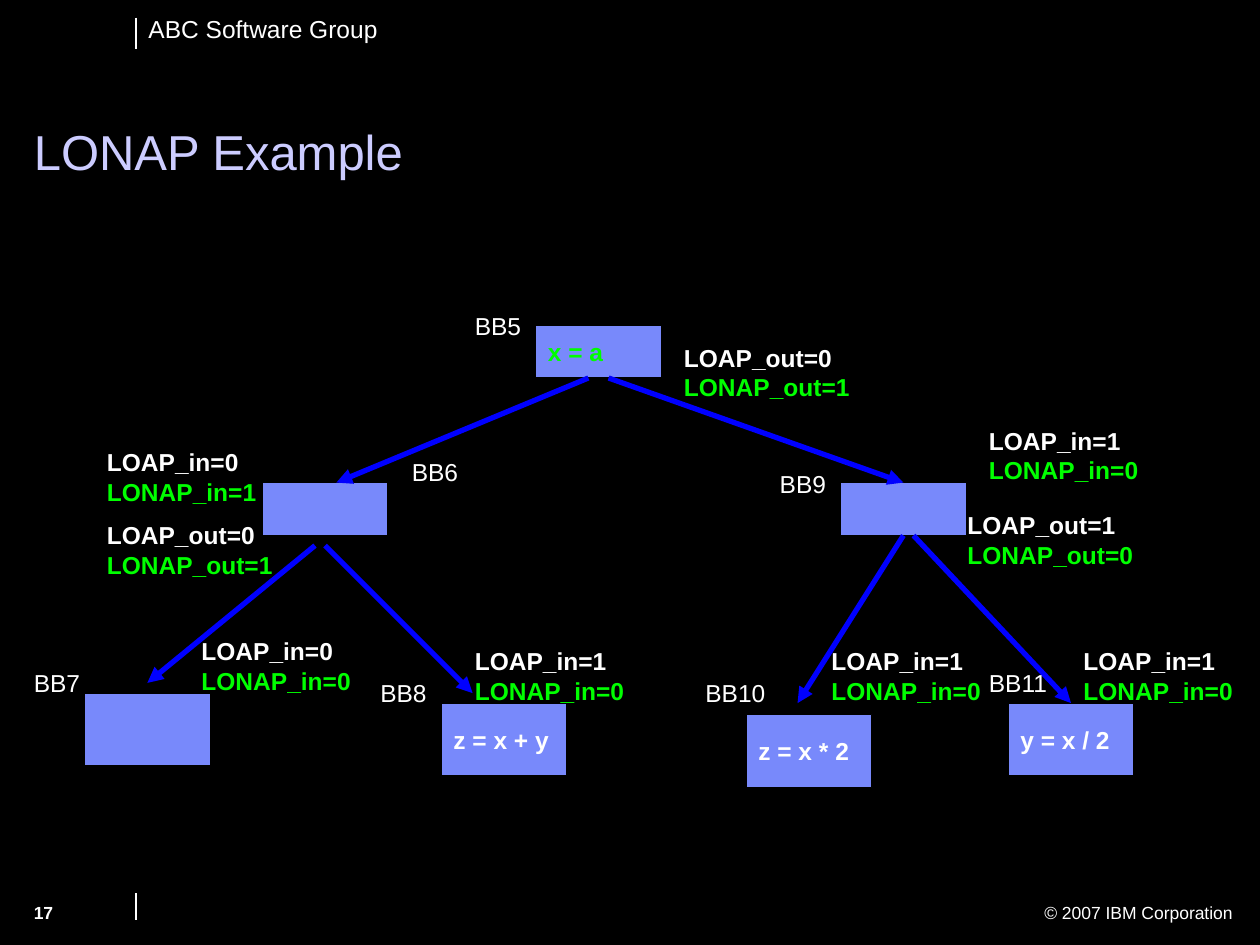
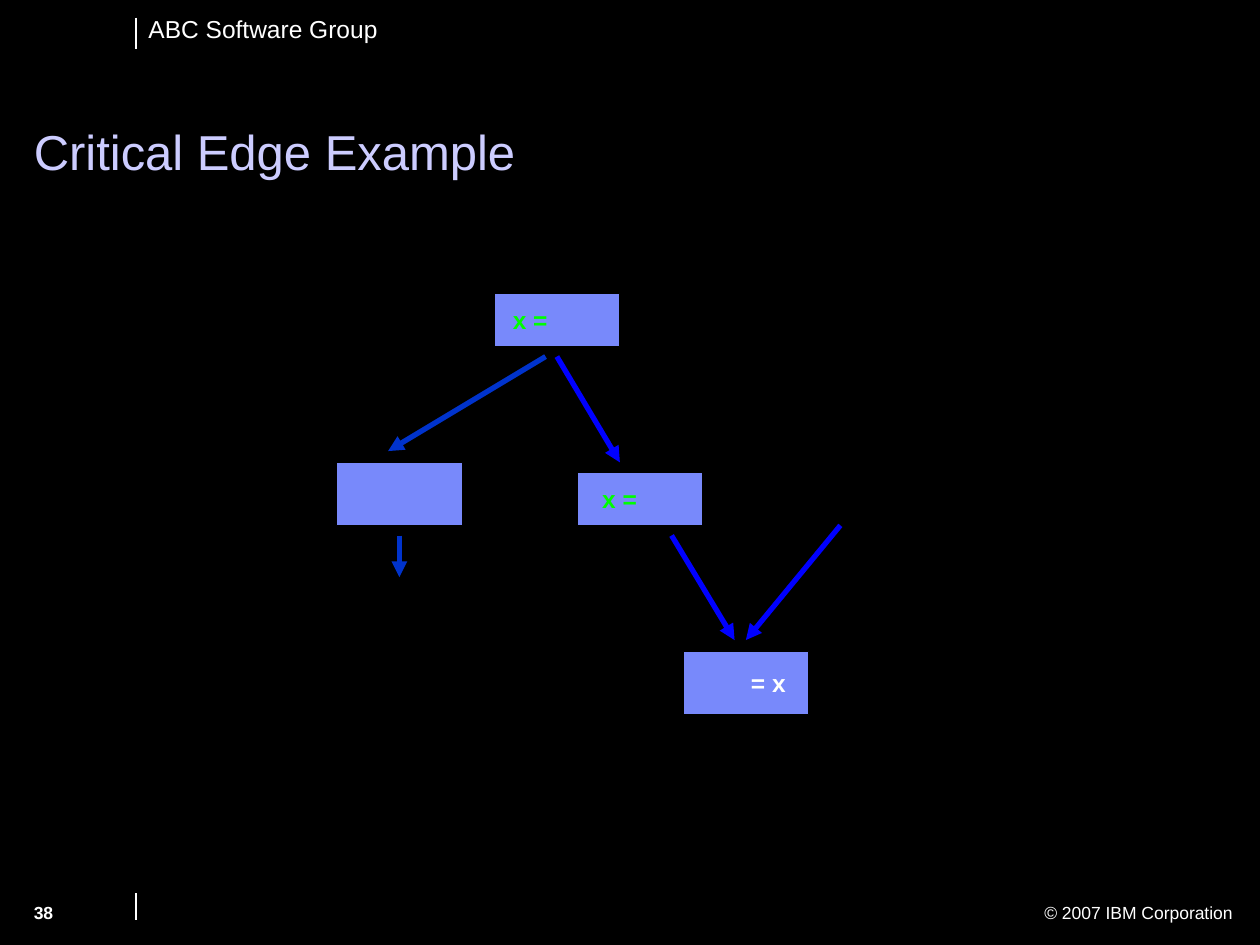
from pptx import Presentation
from pptx.dml.color import RGBColor
from pptx.enum.shapes import MSO_CONNECTOR, MSO_SHAPE
from pptx.enum.text import MSO_ANCHOR, PP_ALIGN
from pptx.oxml.ns import qn
from pptx.util import Inches, Pt
from lxml import etree

COLORS = {
    "background": "000000",
    "text": "FFFFFF",
    "title": "CCCCFF",
    "block": "7889FB",
    "outline": "000000",
    "highlight": "00FF00",
    "edge": "0000FF",
    "other_edge": "0033CC",
}
FONT = "Arial"
BLOCK_WIDTH = 1
TOP, BOTTOM = 0, 2  # connection sites of a rectangle


def color(name):
    return RGBColor.from_string(COLORS[name])


def style(paragraph, size, color_name, bold=False, align=PP_ALIGN.LEFT):
    paragraph.alignment = align
    font = paragraph.font
    font.name, font.size, font.bold = FONT, Pt(size), bold
    font.color.rgb = color(color_name)


def add_text(slide, box, lines, size, bold=False, align=PP_ALIGN.LEFT,
             anchor=MSO_ANCHOR.TOP):
    """Add a text box; lines holds (text, colour name) pairs."""
    frame = slide.shapes.add_textbox(*map(Inches, box)).text_frame
    frame.word_wrap = True
    frame.vertical_anchor = anchor
    for i, (text, color_name) in enumerate(lines):
        paragraph = frame.add_paragraph() if i else frame.paragraphs[0]
        paragraph.text = text
        style(paragraph, size, color_name, bold, align)
    return frame


def add_line(slide, start, end, color_name, width):
    line = slide.shapes.add_connector(
        MSO_CONNECTOR.STRAIGHT, *map(Inches, (*start, *end)))
    line.line.color.rgb = color(color_name)
    line.line.width = Pt(width)
    etree.SubElement(line._element.spPr, qn("a:effectLst"))
    return line


def add_edge(slide, start, end, color_name="edge", source=None, target=None):
    """Add a control-flow arrow, joined to the given blocks if any."""
    edge = add_line(slide, start, end, color_name, 3)
    etree.SubElement(edge.line._get_or_add_ln(), qn("a:tailEnd"), type="triangle")
    if source is not None:
        edge.begin_connect(source, BOTTOM)
    if target is not None:
        edge.end_connect(target, TOP)


def add_block(slide, left, top, height, code="", color_name="text", indent=0.1):
    block = slide.shapes.add_shape(
        MSO_SHAPE.RECTANGLE, *map(Inches, (left, top, BLOCK_WIDTH, height)))
    block.shadow.inherit = False
    block.fill.solid()
    block.fill.fore_color.rgb = color("block")
    block.line.color.rgb = color("outline")
    block.line.width = Pt(0.75)
    if code:
        frame = block.text_frame
        frame.word_wrap = False
        frame.margin_left = Inches(indent)
        frame.vertical_anchor = MSO_ANCHOR.MIDDLE
        frame.paragraphs[0].text = code
        style(frame.paragraphs[0], 14, color_name, bold=True)
    return block


def add_block_name(slide, name, left, top):
    add_text(slide, (left, top, 0.8, 0.34), [(name, "text")], 14)


def add_facts(slide, left, top, side, loap, lonap):
    """Add the LOAP and LONAP values at the entry or exit of a block."""
    width = 1.45 if side == "in" else 1.6
    add_text(slide, (left, top, width, 0.57),
             [(f"LOAP_{side}={loap}", "text"),
              (f"LONAP_{side}={lonap}", "highlight")], 14, bold=True)


def add_base_slide(deck, title, number):
    """Add a slide with the shared background, header, title and footer."""
    slide = deck.slides.add_slide(deck.slide_layouts[6])
    slide.background.fill.solid()
    slide.background.fill.fore_color.rgb = color("background")
    # Header and footer
    add_text(slide, (1.08, 0.06, 2.2, 0.34), [("ABC Software Group", "text")], 14)
    add_text(slide, (6.26, 7.11, 3.62, 0.27),
             [("© 2007 IBM Corporation", "text")], 10, align=PP_ALIGN.RIGHT)
    for top, bottom in ((0.14, 0.39), (7.09, 7.3)):
        add_line(slide, (1.08, top), (1.08, bottom), "text", 0.75)
    add_text(slide, (0.17, 7.11, 1.1, 0.35), [(str(number), "text")], 10, bold=True)
    # Title
    frame = add_text(slide, (0.17, 0.94, 9.02, 0.55), [(title, "title")], 28,
                     anchor=MSO_ANCHOR.BOTTOM)
    frame.paragraphs[0].line_spacing = 0.9
    return slide


def build_lonap_example(deck):
    slide = add_base_slide(deck, "LONAP Example", 17)

    # Basic blocks
    add_block(slide, 4.25, 2.58, 0.42, "x = a", "highlight")
    add_block(slide, 2.08, 3.83, 0.42)
    bb9 = add_block(slide, 6.67, 3.83, 0.42)
    add_block(slide, 0.67, 5.5, 0.58)
    add_block(slide, 3.5, 5.58, 0.58, "z = x + y")
    add_block(slide, 5.92, 5.67, 0.58, "z = x * 2")
    bb11 = add_block(slide, 8, 5.58, 0.58, "y = x / 2")

    # Control flow
    add_edge(slide, (4.67, 3), (2.67, 3.83))
    add_edge(slide, (4.83, 3), (7.17, 3.83), target=bb9)
    add_edge(slide, (2.5, 4.33), (1.17, 5.42))
    add_edge(slide, (2.58, 4.33), (3.75, 5.5))
    add_edge(slide, (7.17, 4.25), (6.33, 5.58), source=bb9)
    add_edge(slide, (7.25, 4.25), (8.5, 5.58), target=bb11)

    # Block names
    for name, left, top in (
        ("BB5", 3.67, 2.42), ("BB6", 3.17, 3.58), ("BB9", 6.09, 3.67),
        ("BB7", 0.17, 5.25), ("BB8", 2.92, 5.33), ("BB10", 5.5, 5.33),
        ("BB11", 7.75, 5.25),
    ):
        add_block_name(slide, name, left, top)

    # Data-flow facts: left, top, side, LOAP, LONAP
    for facts in (
        (5.33, 2.67, "out", 0, 1),
        (0.75, 3.5, "in", 0, 1),
        (0.75, 4.08, "out", 0, 1),
        (7.75, 3.33, "in", 1, 0),
        (7.58, 4, "out", 1, 0),
        (1.5, 5, "in", 0, 0),
        (3.67, 5.08, "in", 1, 0),
        (6.5, 5.08, "in", 1, 0),
        (8.5, 5.08, "in", 1, 0),
    ):
        add_facts(slide, *facts)


def build_critical_edge_example(deck):
    slide = add_base_slide(deck, "Critical Edge Example", 38)

    # Basic blocks
    add_block(slide, 3.92, 2.33, 0.42, "x =", "highlight", indent=0.15)
    add_block(slide, 2.67, 3.67, 0.5)
    add_block(slide, 4.58, 3.75, 0.42, "x =", "highlight", indent=0.2)
    add_block(slide, 5.42, 5.17, 0.5, "= x", indent=0.54)

    # Control flow
    add_edge(slide, (4.33, 2.83), (3.08, 3.58), "other_edge")
    add_edge(slide, (3.17, 4.25), (3.17, 4.58), "other_edge")
    add_edge(slide, (4.42, 2.83), (4.92, 3.67))
    add_edge(slide, (5.33, 4.25), (5.83, 5.08))
    add_edge(slide, (6.67, 4.17), (5.92, 5.08))


def main():
    deck = Presentation()
    deck.slide_width, deck.slide_height = Inches(10), Inches(7.5)
    build_lonap_example(deck)
    build_critical_edge_example(deck)
    deck.save("out.pptx")


if __name__ == "__main__":
    main()
